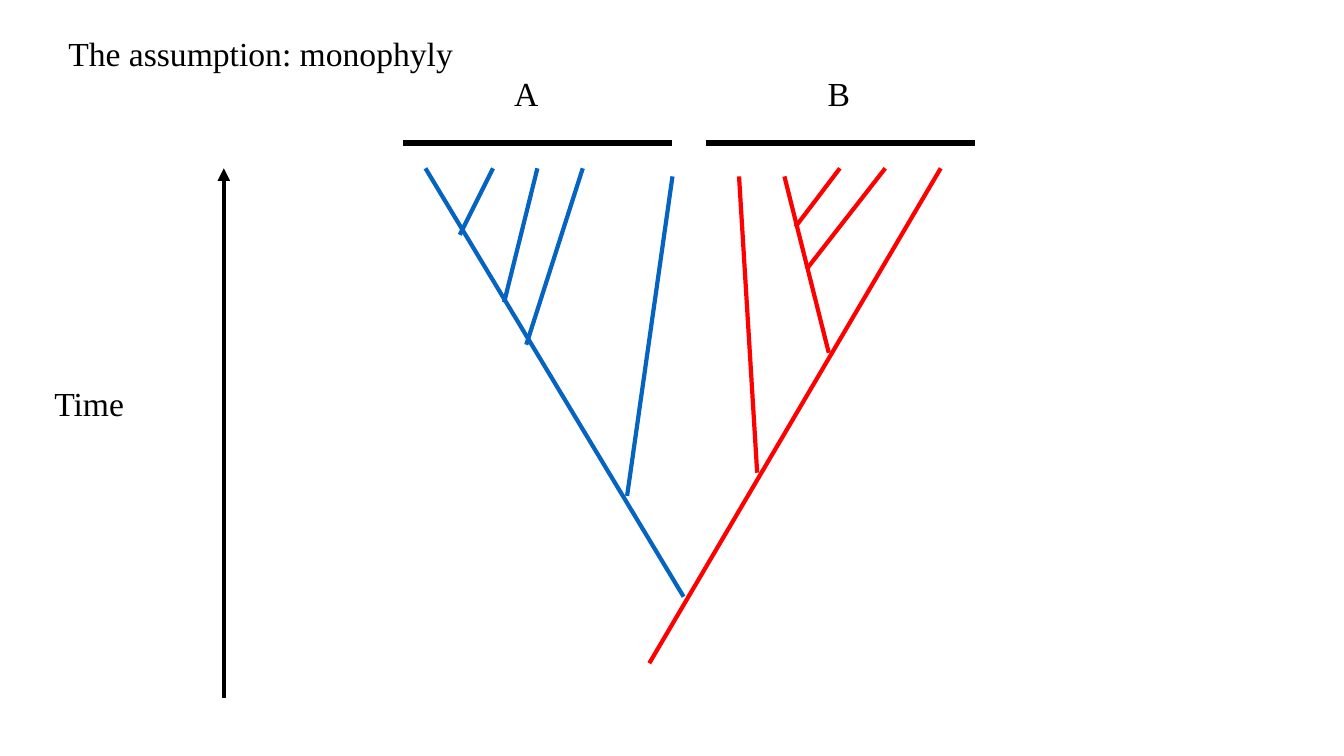
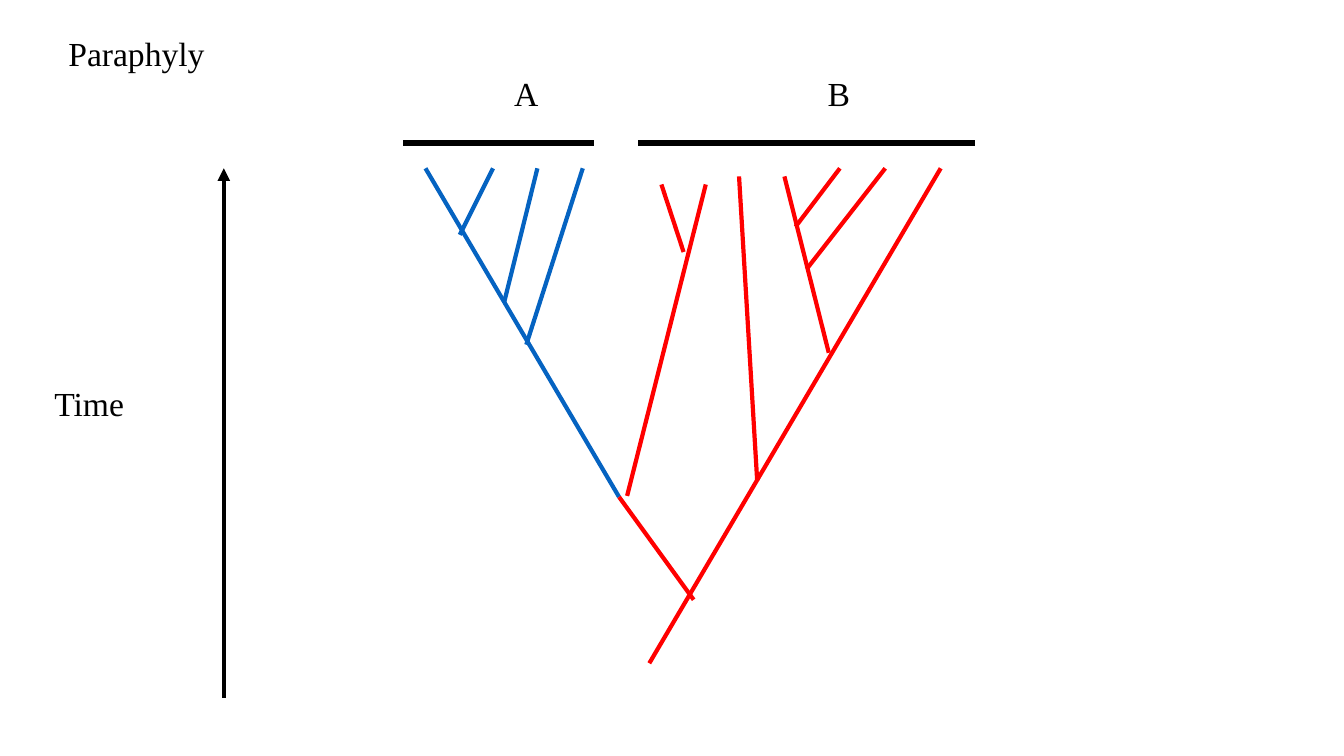
from lxml import etree
from pptx import Presentation
from pptx.dml.color import RGBColor
from pptx.enum.shapes import MSO_CONNECTOR
from pptx.oxml.ns import qn
from pptx.util import Inches, Pt

BLACK = RGBColor(0x00, 0x00, 0x00)
RED = RGBColor(0xFF, 0x00, 0x00)
BLUE = RGBColor(0x05, 0x63, 0xC1)
FONT = "Times New Roman"

TIP_TOP = 1.67
BAR_TOP = 1.42
LABEL_HEIGHT = 0.5

# Text, left, top, width
SHARED_LABELS = [
    ("Time", 0.44, 3.75, 1.44),
    ("A", 5, 0.67, 0.67),
    ("B", 8.11, 0.67, 0.56),
]

# Branches run from the older point to the younger one: x1, y1, x2, y2
SHARED_BRANCHES = [
    (RED, [
        (6.44, 6.58, 9.33, TIP_TOP),
        (8.22, 3.5, 7.78, 1.75),
        (7.89, 2.25, 8.33, TIP_TOP),
        (8, 2.67, 8.78, TIP_TOP),
    ]),
    (BLUE, [
        (5.22, 3.42, 5.78, TIP_TOP),
        (5, 3, 5.33, TIP_TOP),
        (4.56, 2.33, 4.89, TIP_TOP),
    ]),
]

SLIDES = [
    {
        "title": "The assumption: monophyly",
        "title_width": 5.44,
        "group_bars": [(4, 6.67), (7, 9.67)],
        "branches": [
            (BLUE, [
                (6.78, 5.92, 4.22, TIP_TOP),
                (6.22, 4.92, 6.67, 1.75),
            ]),
            (RED, [(7.51, 4.69, 7.33, 1.75)]),
        ],
    },
    {
        "title": "Paraphyly",
        "title_width": 3.33,
        "group_bars": [(4, 5.89), (6.33, 9.67)],
        "branches": [
            (BLUE, [(6.14, 4.93, 4.22, TIP_TOP)]),
            (RED, [
                (6.22, 4.92, 7, 1.83),
                (7.51, 4.77, 7.33, 1.75),
                (6.78, 2.5, 6.56, 1.83),
                (6.14, 4.93, 6.88, 5.95),
            ]),
        ],
    },
]


def add_text(slide, text, left, top, width, size=24, color=BLACK):
    box = slide.shapes.add_textbox(
        Inches(left), Inches(top), Inches(width), Inches(LABEL_HEIGHT))
    box.text_frame.word_wrap = True
    paragraph = box.text_frame.paragraphs[0]
    run = paragraph.add_run()
    run.text = text
    run.font.name = FONT
    run.font.size = Pt(size)
    run.font.color.rgb = color


def add_line(slide, ends, color=BLACK, width=3, arrow=False):
    """Draw a straight line through ends (x1, y1, x2, y2), in inches."""
    line = slide.shapes.add_connector(
        MSO_CONNECTOR.STRAIGHT, *(Inches(value) for value in ends))
    line.line.color.rgb = color
    line.line.width = Pt(width)
    if arrow:
        outline = line.line._get_or_add_ln()
        etree.SubElement(outline, qn("a:tailEnd"), type="triangle")
    etree.SubElement(line._element.spPr, qn("a:effectLst"))


def add_tree_slide(presentation, content):
    slide = presentation.slides.add_slide(presentation.slide_layouts[6])
    add_line(slide, (2.22, 6.92, 2.22, TIP_TOP), arrow=True)
    for start, end in content["group_bars"]:
        add_line(slide, (start, BAR_TOP, end, BAR_TOP), width=4.5)
    for color, branches in SHARED_BRANCHES + content["branches"]:
        for ends in branches:
            add_line(slide, ends, color=color)
    title = (content["title"], 0.58, 0.28, content["title_width"])
    for label in SHARED_LABELS + [title]:
        add_text(slide, *label)


def main():
    presentation = Presentation()
    presentation.slide_width = Inches(13.33)
    presentation.slide_height = Inches(7.5)
    for content in SLIDES:
        add_tree_slide(presentation, content)
    presentation.save("out.pptx")


if __name__ == "__main__":
    main()
